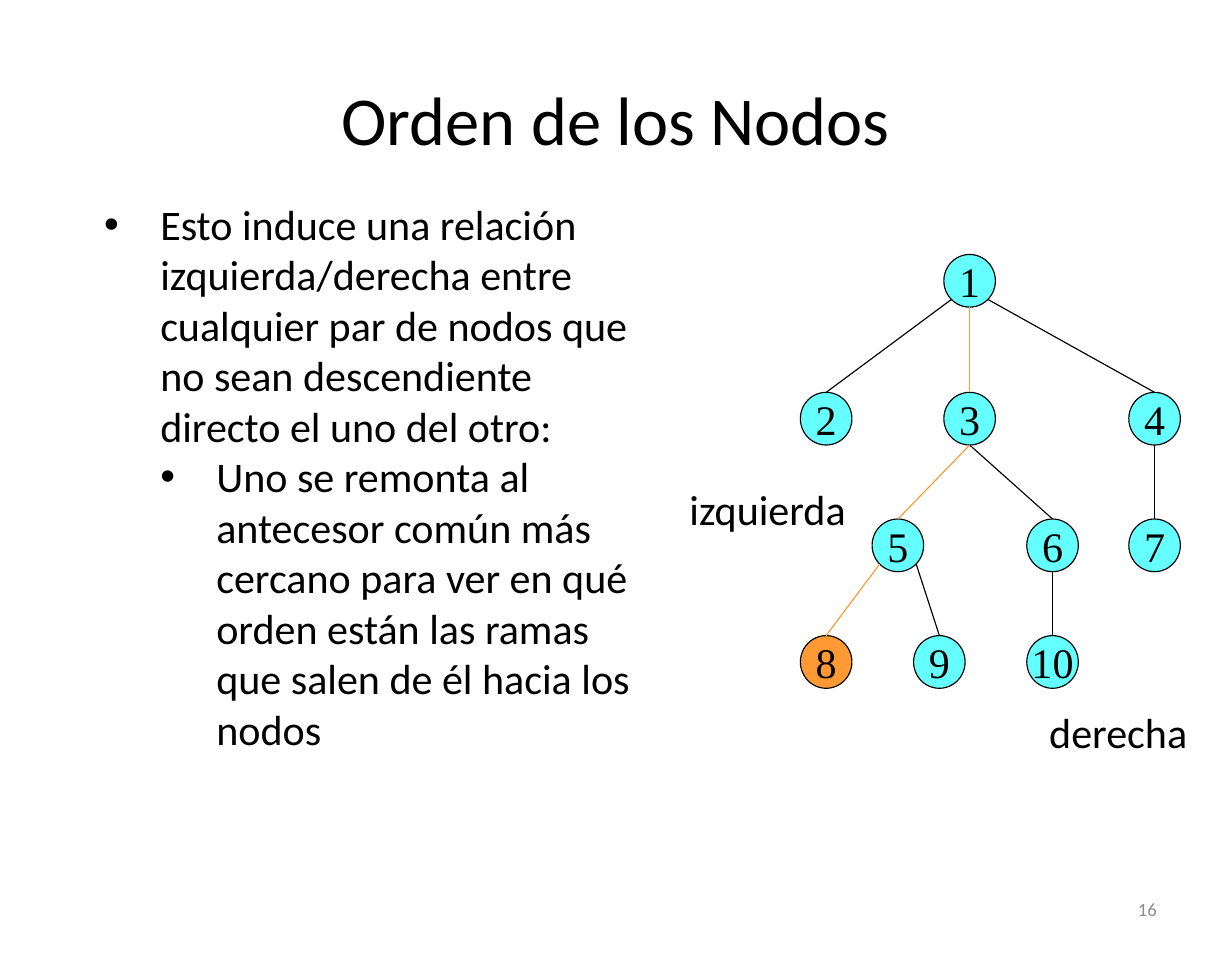
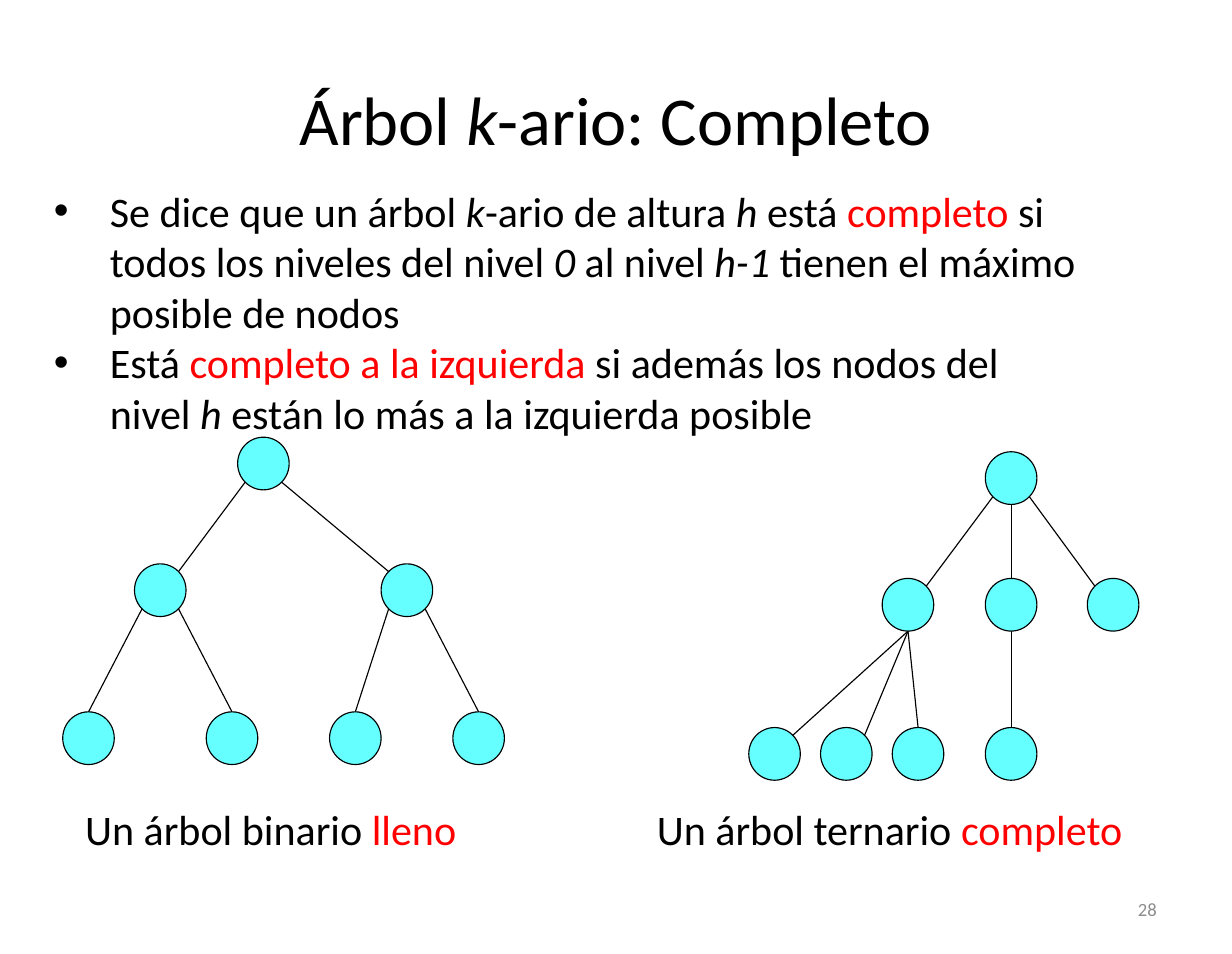
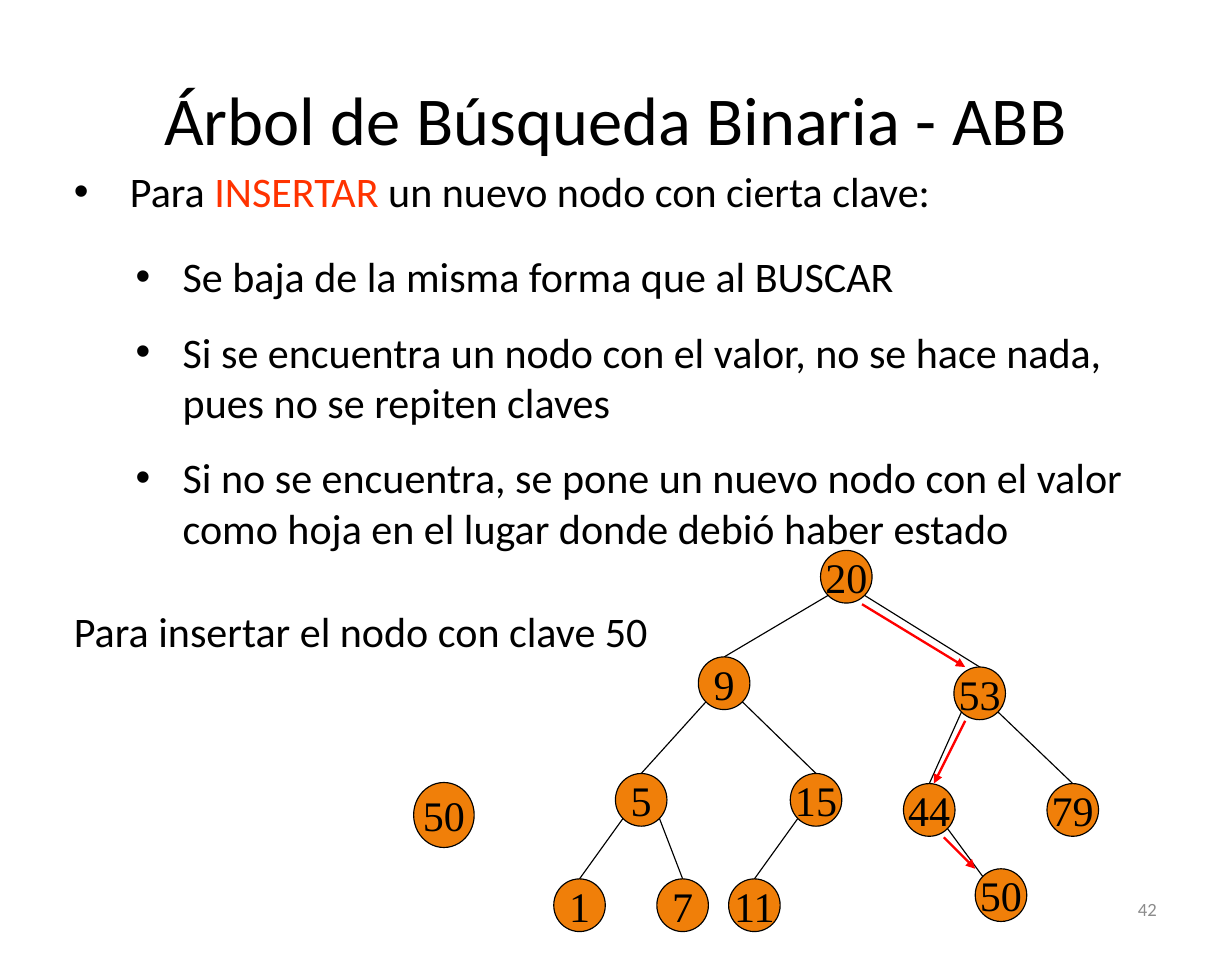
from dataclasses import dataclass

from lxml import etree
from pptx import Presentation
from pptx.dml.color import RGBColor
from pptx.enum.shapes import MSO_CONNECTOR, MSO_SHAPE
from pptx.enum.text import MSO_ANCHOR, PP_ALIGN
from pptx.oxml.ns import qn
from pptx.util import Inches, Pt

LEFT, CENTER, RIGHT = PP_ALIGN.LEFT, PP_ALIGN.CENTER, PP_ALIGN.RIGHT
TOP, MIDDLE = MSO_ANCHOR.TOP, MSO_ANCHOR.MIDDLE
OVAL = MSO_SHAPE.OVAL
STRAIGHT = MSO_CONNECTOR.STRAIGHT


@dataclass(frozen=True)
class Theme:
    text: str = "000000"
    red: str = "FF0000"
    scarlet: str = "FF3300"
    gray: str = "8C8C8C"
    cyan: str = "66FFFF"
    amber: str = "FF9933"
    orange: str = "F07F09"
    font: str = "Calibri"
    node_font: str = "Times New Roman"
    title_size: int = 44
    body_size: int = 27
    number_size: int = 12
    thin: float = 0.75
    thick: float = 1.5


T = Theme()
NODE_W, NODE_H = 0.46, 0.47
DIAGONAL = 0.354  # half of cos 45°, as a share of the node's size
PORTS = {
    "t": (0, -0.5), "b": (0, 0.5),
    "tl": (-DIAGONAL, -DIAGONAL), "tr": (DIAGONAL, -DIAGONAL),
    "bl": (-DIAGONAL, DIAGONAL), "br": (DIAGONAL, DIAGONAL),
}
ITALIC = {"italic": True}
RED = {"color": T.red}


def add_text(p, text, *, size=T.body_size, font=T.font, color=T.text, italic=False):
    r = p.add_run()
    r.text = text
    r.font.size = Pt(size)
    r.font.name = font
    r.font.italic = italic
    r.font.color.rgb = RGBColor.from_string(color)


def fill_paragraph(p, runs, *, align=LEFT, **style):
    """Runs are a string, or a list of strings and (string, format) pairs."""
    p.alignment = align
    for run in [runs] if isinstance(runs, str) else runs:
        text, own = (run, {}) if isinstance(run, str) else run
        add_text(p, text, **{**style, **own})


def set_frame(tf, *, anchor=TOP, wrap=True, inset=(0.11, 0.06)):
    tf.word_wrap = wrap
    tf.vertical_anchor = anchor
    tf.margin_left = tf.margin_right = Inches(inset[0])
    tf.margin_top = tf.margin_bottom = Inches(inset[1])


def add_box(s, box, *, anchor=TOP):
    tf = s.shapes.add_textbox(*map(Inches, box)).text_frame
    set_frame(tf, anchor=anchor)
    return tf


def add_label(s, box, runs, *, anchor=TOP, **style):
    fill_paragraph(add_box(s, box, anchor=anchor).paragraphs[0], runs, **style)


def set_bullet(p, indent, hanging):
    pPr = p._p.get_or_add_pPr()
    pPr.set("marL", str(Inches(indent)))
    pPr.set("indent", str(-Inches(hanging)))
    etree.SubElement(pPr, qn("a:buFont")).set("typeface", "Arial")
    etree.SubElement(pPr, qn("a:buChar")).set("char", "•")


def add_bullets(s, box, items):
    """Items are (runs, level indent, hanging, space before in points)."""
    tf = add_box(s, box)
    for i, (runs, indent, hanging, before) in enumerate(items):
        p = tf.add_paragraph() if i else tf.paragraphs[0]
        p.space_before = Pt(before)
        set_bullet(p, indent, hanging)
        fill_paragraph(p, runs)


def add_line(s, start, end, *, color=T.text, width=T.thin, arrow=False):
    c = s.shapes.add_connector(STRAIGHT, *map(Inches, (*start, *end)))
    c.line.color.rgb = RGBColor.from_string(color)
    c.line.width = Pt(width)
    if arrow:
        etree.SubElement(c.line._get_or_add_ln(), qn("a:tailEnd")).set("type", "triangle")
    etree.SubElement(c._element.spPr, qn("a:effectLst"))


def add_node(s, x, y, label="", *, fill=T.cyan, w=NODE_W, h=NODE_H):
    sp = s.shapes.add_shape(OVAL, *map(Inches, (x, y, w, h)))
    sp.shadow.inherit = False
    sp.fill.solid()
    sp.fill.fore_color.rgb = RGBColor.from_string(fill)
    sp.line.color.rgb = RGBColor.from_string(T.text)
    sp.line.width = Pt(T.thin)
    if label:
        set_frame(sp.text_frame, anchor=MIDDLE, wrap=False, inset=(0, 0))
        fill_paragraph(sp.text_frame.paragraphs[0], label, align=CENTER, font=T.node_font)


def add_edges(s, nodes, edges, **style):
    """Edges are (parent, port, child, port); nodes map a name to its left and top."""
    def point(name, port):
        x, y = nodes[name]
        dx, dy = PORTS[port]
        return x + NODE_W * (0.5 + dx), y + NODE_H * (0.5 + dy)

    for parent, out, child, into in edges:
        add_line(s, point(parent, out), point(child, into), **style)


def add_tree(s, levels, edges, *, fill=T.cyan, labels=True, marked=()):
    """Levels map a top to the names and lefts of its nodes."""
    nodes = {name: (x, y) for y, row in levels.items() for name, x in row.items()}
    add_edges(s, nodes, edges)
    for name, (x, y) in nodes.items():
        add_node(s, x, y, name if labels else "", fill=T.amber if name in marked else fill)
    return nodes


def new_slide(prs, title, number):
    s = prs.slides.add_slide(prs.slide_layouts[6])
    add_label(s, (0.55, 0.34, 9.89, 1.42), title, anchor=MIDDLE, align=CENTER, size=T.title_size)
    add_label(s, (7.87, 7.88, 2.56, 0.45), str(number), anchor=MIDDLE, align=RIGHT,
              size=T.number_size, color=T.gray)
    return s


def node_order_slide(prs):
    s = new_slide(prs, "Orden de los Nodos", 16)
    add_bullets(s, (0.82, 1.71, 4.94, 5.11), [
        ("Esto induce una relación izquierda/derecha entre cualquier par de nodos que "
         "no sean descendiente directo el uno del otro:", 0.5, 0.5, 0),
        ("Uno se remonta al antecesor común más cercano para ver en qué orden están "
         "las ramas que salen de él hacia los nodos", 1, 0.5, 0),
    ])
    levels = {
        2.27: {"1": 8.42},
        3.5: {"2": 7.14, "3": 8.42, "4": 10.07},
        4.63: {"5": 7.78, "6": 9.16, "7": 10.07},
        5.67: {"8": 7.14, "9": 8.15, "10": 9.16},
    }
    edges = [("1", "bl", "2", "t"), ("1", "br", "4", "t"), ("3", "b", "6", "t"),
             ("4", "b", "7", "t"), ("5", "br", "9", "t"), ("6", "b", "10", "t")]
    route = [("1", "b", "3", "t"), ("3", "b", "5", "t"), ("5", "bl", "8", "t")]
    nodes = add_tree(s, levels, edges, marked=("8",))
    add_edges(s, nodes, route, color=T.amber)
    add_label(s, (6.04, 4.25, 1.74, 0.56), "izquierda")
    add_label(s, (9.25, 6.24, 1.56, 0.56), "derecha")


def complete_tree_slide(prs):
    s = new_slide(prs, ["Árbol ", ("k", ITALIC), "-ario: Completo"], 28)
    add_bullets(s, (0.37, 1.59, 9.34, 2.38), [
        (["Se dice que un árbol ", ("k", ITALIC), "-ario de altura ", ("h", ITALIC), " está ",
          ("completo ", RED), "si todos los niveles del nivel ", ("0 ", ITALIC), "al nivel ",
          ("h-1 ", ITALIC), "tienen el máximo posible de nodos"], 0.5, 0.5, 0),
        (["Está ", ("completo a la izquierda ", RED), "si además los nodos del nivel ",
          ("h", ITALIC), " están lo más a la izquierda posible"], 0.5, 0.5, 0),
    ])
    binary = {
        3.9: {"a": 2.12},
        5.03: {"b": 1.2, "c": 3.4},
        6.35: {"d": 0.56, "e": 1.84, "f": 2.94, "g": 4.04},
    }
    add_tree(s, binary, [
        ("a", "bl", "b", "tr"), ("a", "br", "c", "tl"), ("b", "bl", "d", "t"),
        ("b", "br", "e", "t"), ("c", "bl", "f", "t"), ("c", "br", "g", "t"),
    ], labels=False)
    ternary = {
        4.03: {"a": 8.79},
        5.16: {"b": 7.87, "c": 8.79, "d": 9.7},
        6.49: {"e": 6.68, "f": 7.32, "g": 7.96, "h": 8.79},
    }
    add_tree(s, ternary, [
        ("a", "bl", "b", "tr"), ("a", "b", "c", "t"), ("a", "br", "d", "tl"),
        ("b", "b", "e", "tr"), ("b", "b", "f", "tr"), ("b", "b", "g", "t"),
        ("c", "b", "h", "t"),
    ], labels=False)
    add_label(s, (0.65, 7.11, 3.94, 0.57), ["Un árbol binario ", ("lleno", RED)])
    add_label(s, (5.75, 7.11, 4.94, 0.57), ["Un árbol ternario ", ("completo", RED)])


def insertion_slide(prs):
    s = new_slide(prs, "Árbol de Búsqueda Binaria - ABB", 42)
    add_bullets(s, (0.55, 1.42, 10.07, 3.58), [
        (["Para ", ("INSERTAR ", {"color": T.scarlet}), "un nuevo nodo con cierta clave:"],
         0.5, 0.5, 0),
        ("Se baja de la misma forma que al BUSCAR", 0.97, 0.42, 22),
        ("Si se encuentra un nodo con el valor, no se hace nada, pues no se repiten claves",
         0.97, 0.42, 16),
        ("Si no se encuentra, se pone un nuevo nodo con el valor como hoja en el lugar "
         "donde debió haber estado", 0.97, 0.42, 16),
    ])
    levels = {
        4.91: {"20": 7.32},
        5.86: {"9": 6.23},
        5.95: {"53": 8.51},
        6.9: {"5": 5.49, "15": 7.05},
        6.99: {"44": 8.06, "79": 9.34},
        7.75: {"50": 8.7},
        7.84: {"1": 4.94, "7": 5.86, "11": 6.5},
    }
    add_tree(s, levels, [
        ("20", "bl", "9", "t"), ("20", "br", "53", "t"), ("9", "bl", "5", "t"),
        ("9", "br", "15", "t"), ("5", "bl", "1", "t"), ("5", "br", "7", "t"),
        ("15", "bl", "11", "t"), ("53", "bl", "44", "t"), ("53", "br", "79", "t"),
        ("44", "br", "50", "tl"),
    ], fill=T.orange)
    for start, end in [((7.69, 5.39), (8.61, 5.95)), ((8.61, 6.43), (8.33, 6.99)),
                       ((8.42, 7.47), (8.7, 7.75))]:
        add_line(s, start, end, color=T.red, width=T.thick, arrow=True)
    add_label(s, (0.55, 5.34, 5.54, 0.57), "Para insertar el nodo con clave 50")
    add_node(s, 3.69, 6.98, "50", fill=T.orange, w=0.54, h=0.58)


def main():
    prs = Presentation()
    prs.slide_width, prs.slide_height = Inches(10.99), Inches(8.51)
    node_order_slide(prs)
    complete_tree_slide(prs)
    insertion_slide(prs)
    prs.save("out.pptx")


if __name__ == "__main__":
    main()
